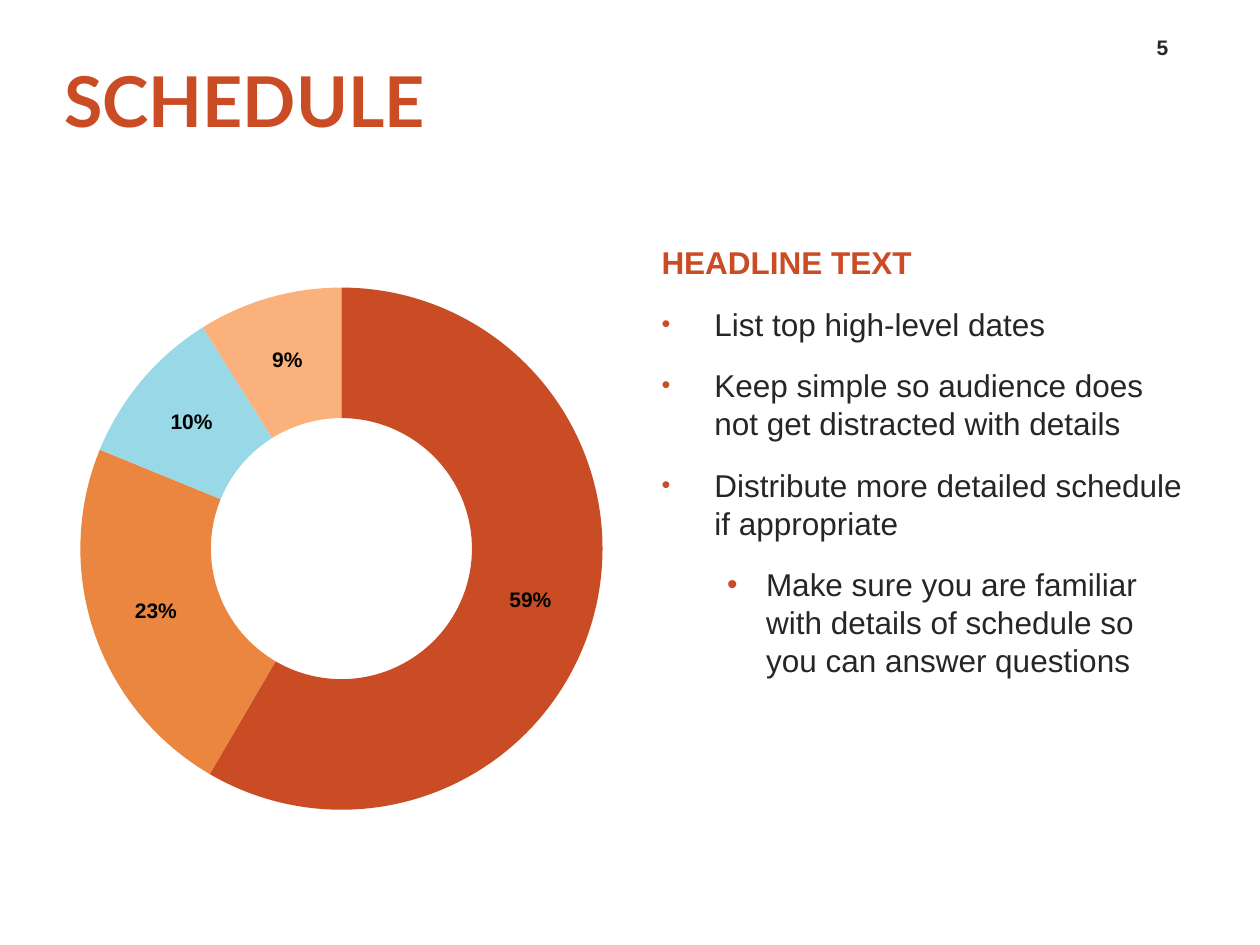
from lxml import etree
from pptx import Presentation
from pptx.chart.data import CategoryChartData
from pptx.dml.color import RGBColor
from pptx.enum import chart as ch, text
from pptx.oxml import ns
from pptx.util import Inches, Pt

RUST, DARK, BLACK = "C94C25", "262626", "000000"
SLICES = [(59, RUST), (23, "EA8640"), (10, "99D9E7"), (9, "FAB17B")]
BULLETS = [
    (0, "List top high-level dates"),
    (0, "Keep simple so audience does not get distracted with details"),
    (0, "Distribute more detailed schedule if appropriate"),
    (1, "Make sure you are familiar with details of schedule so you can answer questions"),
]
# level: (left margin, hanging indent, bullet size in percent)
LEVELS = {0: (0.49, 0.42, 80), 1: (0.9, 0.31, 95)}


def set_font(font, size, color, bold=False, name="Arial"):
    font.name, font.size, font.bold = name, Pt(size), bold
    font.color.rgb = RGBColor.from_string(color)


def add_run(p, content, *style, **options):
    r = p.add_run()
    r.text = content
    set_font(r.font, *style, **options)


def place(sp, box):
    sp.left, sp.top, sp.width, sp.height = (Inches(n) for n in box)


def set_bullet(p, margin, hanging, percent):
    """Set the indents and bullet; no percent means no bullet."""
    pPr = p._p.get_or_add_pPr()
    pPr.set("marL", str(Inches(margin)))
    pPr.set("indent", str(-Inches(hanging)))

    def add(tag, parent=pPr, **attributes):
        return etree.SubElement(parent, ns.qn(tag), attributes)

    if not percent:
        add("a:buNone")
        return
    add("a:srgbClr", add("a:buClr"), val=RUST)
    add("a:buSzPct", val=str(percent * 1000))
    add("a:buFont", typeface="Arial")
    add("a:buChar", char="•")


def add_title(slide, box):
    sp = slide.shapes.title
    place(sp, box)
    tf = sp.text_frame
    tf.margin_left = tf.margin_right = 0
    tf.vertical_anchor = text.MSO_ANCHOR.MIDDLE
    tf.auto_size = text.MSO_AUTO_SIZE.NONE
    p = tf.paragraphs[0]
    p.alignment = text.PP_ALIGN.LEFT
    add_run(p, "SCHEDULE", 40, RUST, bold=True, name="Lato")


def add_body(slide, box):
    sp = slide.placeholders[1]
    place(sp, box)
    tf = sp.text_frame
    tf.auto_size = text.MSO_AUTO_SIZE.NONE
    p = tf.paragraphs[0]
    p.space_before, p.space_after = Pt(0), Pt(10)
    set_bullet(p, 0.07, 0, None)
    add_run(p, "HEADLINE TEXT", 18, RUST, bold=True)
    for level, content in BULLETS:
        p = tf.add_paragraph()
        p.level = level
        p.space_before, p.space_after = Pt(3.6), Pt(10)
        set_bullet(p, *LEVELS[level])
        add_run(p, content, 18, DARK)


def add_page_number(slide, box):
    tf = slide.shapes.add_textbox(*(Inches(n) for n in box)).text_frame
    tf.word_wrap = True
    tf.vertical_anchor = text.MSO_ANCHOR.BOTTOM
    p = tf.paragraphs[0]
    p.alignment = text.PP_ALIGN.CENTER
    add_run(p, "5", 12, DARK, bold=True)


def add_doughnut(slide, box):
    data = CategoryChartData()
    data.categories = [str(i + 1) for i in range(len(SLICES))]
    data.add_series("Series 1", [value for value, _ in SLICES])
    chart = slide.shapes.add_chart(
        ch.XL_CHART_TYPE.DOUGHNUT, *(Inches(n) for n in box), data).chart
    chart.has_legend = chart.has_title = False
    set_font(chart.font, 10, BLACK)
    plot = chart.plots[0]
    plot.vary_by_categories = True
    for i, (_, color) in enumerate(SLICES):
        fill = plot.series[0].points[i].format.fill
        fill.solid()
        fill.fore_color.rgb = RGBColor.from_string(color)
    plot.has_data_labels = True
    labels = plot.data_labels
    labels.show_value, labels.show_percentage = True, False
    labels.number_format, labels.number_format_is_linked = '0"%"', False
    set_font(labels.font, 12, BLACK, bold=True)


def main():
    prs = Presentation()
    prs.slide_width, prs.slide_height = Inches(10), Inches(7.5)
    slide = prs.slides.add_slide(prs.slide_layouts[1])
    add_title(slide, (0.51, 0.42, 5.07, 0.74))
    add_body(slide, (5.08, 1.88, 4.42, 4.95))
    add_page_number(slide, (8.95, 0.19, 0.55, 0.33))
    add_doughnut(slide, (0.5, 1.88, 4.42, 4.95))
    prs.save("out.pptx")


if __name__ == "__main__":
    main()
